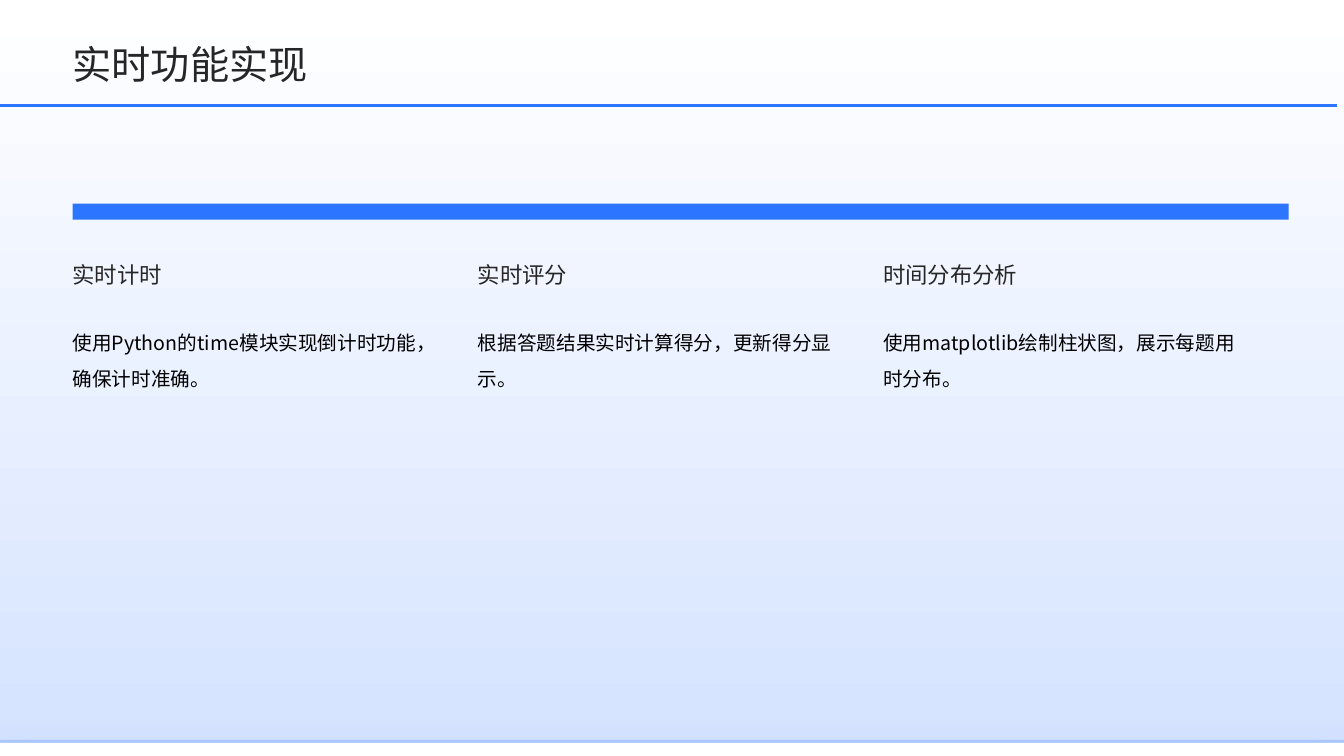
from lxml.etree import SubElement
from pptx import Presentation
from pptx.dml.color import RGBColor
from pptx.enum.shapes import MSO_CONNECTOR, MSO_SHAPE
from pptx.enum.text import MSO_ANCHOR
from pptx.oxml import parse_xml
from pptx.oxml.ns import nsdecls, qn
from pptx.util import Inches, Pt

THEME = {
    "font": "Noto Sans CJK SC",
    "accent": "2C75FF", "edge": "ABC8FF", "sky": "D5E3FF", "white": "FFFFFF",
    "heading": "262626", "body": "000000",
    "title_size": 28, "heading_size": 16, "body_size": 14,
}
W, H = 13.33, 7.5
LEFT, COL_W, TEXT_W = 0.72, 4.02, 3.63
COLUMNS = [
    ("实时计时", "使用Python的time模块实现倒计时功能，确保计时准确。"),
    ("实时评分", "根据答题结果实时计算得分，更新得分显示。"),
    ("时间分布分析", "使用matplotlib绘制柱状图，展示每题用时分布。"),
]

prs = Presentation()
prs.slide_width, prs.slide_height = Inches(W), Inches(H)
s = prs.slides.add_slide(prs.slide_layouts[6])


def add_rect(x, y, w, h, color):
    sp = s.shapes.add_shape(MSO_SHAPE.RECTANGLE, *map(Inches, (x, y, w, h)))
    sp.shadow.inherit = False
    sp.line.fill.background()
    sp.fill.solid()
    sp.fill.fore_color.rgb = RGBColor.from_string(THEME[color])
    return sp


def add_text(text, x, y, w, h, size, color, spacing, anchor=MSO_ANCHOR.MIDDLE):
    tf = s.shapes.add_textbox(*map(Inches, (x, y, w, h))).text_frame
    tf.word_wrap = True
    tf.vertical_anchor = anchor
    tf.margin_left = tf.margin_right = tf.margin_top = tf.margin_bottom = 0
    p = tf.paragraphs[0]
    p.line_spacing = spacing
    r = p.add_run()
    r.text = text
    r.font.size = Pt(THEME[size])
    r.font.color.rgb = RGBColor.from_string(THEME[color])
    r.font.name = THEME["font"]
    SubElement(r.font._element, qn("a:ea"), typeface=THEME["font"])


# Background, white at the top
backdrop = add_rect(0, 0, W, H, "sky")
backdrop.fill.gradient()
backdrop.fill.gradient_angle = 90
for stop, color in zip(backdrop.fill.gradient_stops, ("sky", "white")):
    stop.color.rgb = RGBColor.from_string(THEME[color])

# Footer strips with a soft shadow
for y, h, color in ((7.34, 0.08, "edge"), (7.37, 0.13, "white")):
    strip = add_rect(0, y, W, h, color)
    effects = strip._element.spPr.find(qn("a:effectLst"))
    effects.append(parse_xml(
        f'<a:outerShdw {nsdecls("a")} blurRad="{Pt(25)}" dist="{Pt(10)}" dir="5400000" '
        f'rotWithShape="0"><a:srgbClr val="{THEME["accent"]}"><a:alpha val="10000"/>'
        '</a:srgbClr></a:outerShdw>'))

# Three columns
for i, (heading, body) in enumerate(COLUMNS):
    x = LEFT + i * COL_W
    add_rect(x, 2.02, COL_W, 0.16, "accent")
    add_text(heading, x, 2.3, TEXT_W, 0.79, "heading_size", "heading", 1.2)
    add_text(body, x, 3.17, TEXT_W, 2.76, "body_size", "body", 1.5, MSO_ANCHOR.TOP)

# Title and its rule
add_text("实时功能实现", LEFT, 0.35, 2 * COL_W + TEXT_W, 0.51, "title_size", "heading", 1.1)
rule = s.shapes.add_connector(MSO_CONNECTOR.STRAIGHT, 0, Inches(1.05), Inches(13.26), Inches(1.05))
rule.line.color.rgb = RGBColor.from_string(THEME["accent"])
rule.line.width = Pt(2.25)
SubElement(rule._element.spPr, qn("a:effectLst"))

prs.save("out.pptx")
